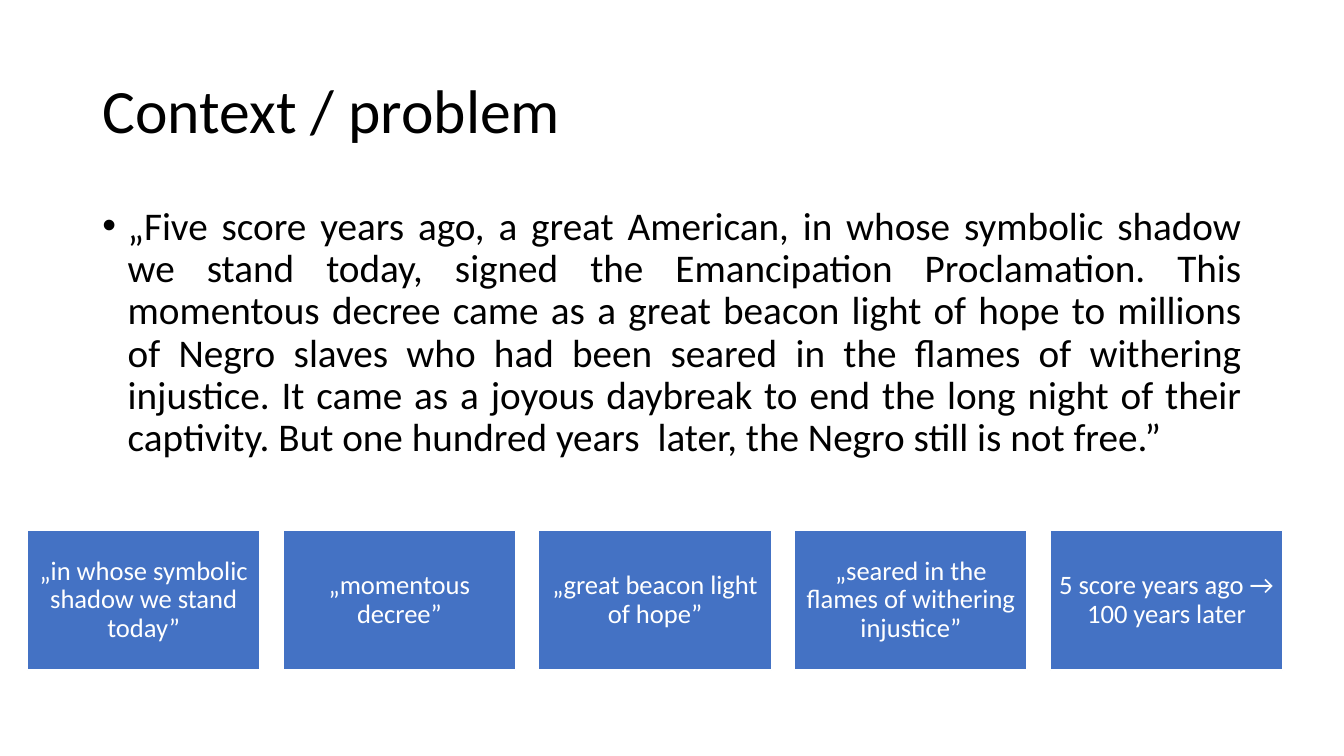
"""Build the "Context / problem" slide: a quotation above five key phrases."""
from pptx import Presentation
from pptx.dml.color import RGBColor
from pptx.enum.shapes import MSO_SHAPE
from pptx.enum.text import MSO_ANCHOR, MSO_AUTO_SIZE, PP_ALIGN
from pptx.util import Pt

RECTANGLE = MSO_SHAPE.RECTANGLE
TOP, MIDDLE = MSO_ANCHOR.TOP, MSO_ANCHOR.MIDDLE
NO_AUTOFIT = MSO_AUTO_SIZE.NONE
LEFT, CENTER, JUSTIFY = PP_ALIGN.LEFT, PP_ALIGN.CENTER, PP_ALIGN.JUSTIFY

QUOTE = (
    "„Five score years ago, a great American, in whose symbolic shadow we stand today, "
    "signed the Emancipation Proclamation. This momentous decree came as a great beacon "
    "light of hope to millions of Negro slaves who had been seared in the flames of "
    "withering injustice. It came as a joyous daybreak to end the long night of their "
    "captivity. But one hundred years  later, the Negro still is not free.”"
)
PHRASES = [
    "„in whose symbolic shadow we stand today”",
    "„momentous decree”",
    "„great beacon light of hope”",
    "„seared in the flames of withering injustice”",
    "5 score years ago → 100 years later",
]
BOX_LEFT, BOX_TOP, BOX_WIDTH, BOX_HEIGHT = 19.6, 379, 166.1, 99.65
BOX_STEP = 182.65


def color(hex_value):
    return RGBColor.from_string(hex_value)


def write(shape, text, size, hex_value, frame_format, para_format):
    frame = shape.text_frame
    frame_values = {"word_wrap": True, "auto_size": NO_AUTOFIT, **frame_format}
    for name, value in frame_values.items():
        setattr(frame, name, value)
    para = frame.paragraphs[0]
    for name, value in {"line_spacing": 0.9, **para_format}.items():
        setattr(para, name, value)
    span = para.add_run()
    span.text = text
    for name, value in {"name": "Calibri", "size": Pt(size)}.items():
        setattr(span.font, name, value)
    span.font.color.rgb = color(hex_value)
    return para


deck = Presentation()
deck.slide_width, deck.slide_height = Pt(960), Pt(540)
page = deck.slides.add_slide(deck.slide_layouts[1])
title, body = page.placeholders

for holder, top, height in [(title, 28.75, 104.4), (body, 143.75, 342.6)]:
    places = {"left": 66, "top": top, "width": 828, "height": height}
    for name, value in places.items():
        setattr(holder, name, Pt(value))

write(title, "Context / problem", 44, "000000",
      {"vertical_anchor": MIDDLE}, {"alignment": LEFT})
quote = write(body, QUOTE, 28, "000000", {"vertical_anchor": TOP},
              {"alignment": JUSTIFY, "space_before": Pt(10)})
quote_properties = quote._p.get_or_add_pPr()
for name, value in {"marL": Pt(18), "indent": Pt(-18)}.items():
    quote_properties.set(name, str(int(value)))

margins = ("margin_left", "margin_top", "margin_right", "margin_bottom")
box_format = {"vertical_anchor": MIDDLE, **dict.fromkeys(margins, Pt(5.7))}
for index, phrase in enumerate(PHRASES):
    box = page.shapes.add_shape(
        RECTANGLE, Pt(BOX_LEFT + index * BOX_STEP), Pt(BOX_TOP),
        Pt(BOX_WIDTH), Pt(BOX_HEIGHT))
    box.shadow.inherit = False
    box.fill.solid()
    box.fill.fore_color.rgb = color("4472C4")
    box.line.color.rgb = color("FFFFFF")
    box.line.width = Pt(1)
    write(box, phrase, 19, "FFFFFF", box_format, {"alignment": CENTER})

deck.save("out.pptx")
